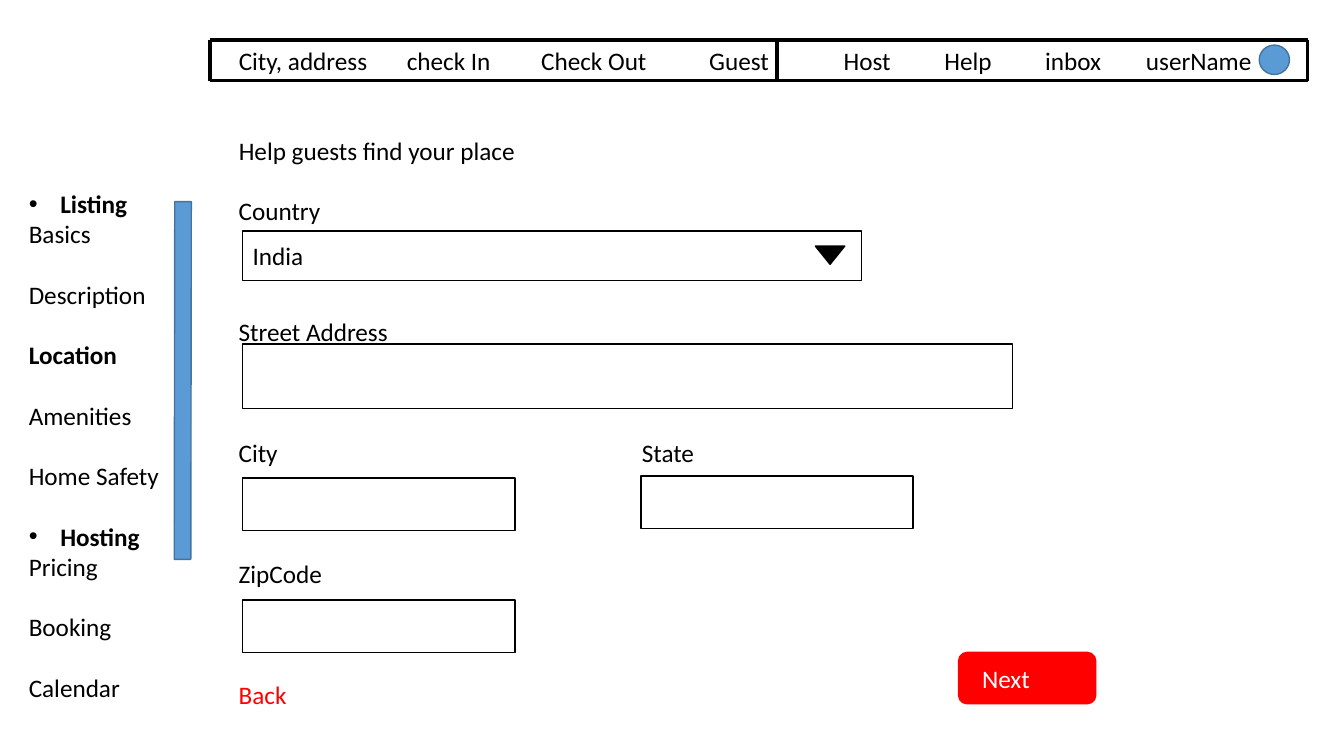
import pptx
import pptx.dml.color
import pptx.enum.shapes
import pptx.enum.text
import pptx.oxml
import pptx.util
import lxml.etree

Pt = pptx.util.Pt
SHAPES = pptx.enum.shapes.MSO_SHAPE
ANCHOR = pptx.enum.text.MSO_ANCHOR
LEFT = pptx.enum.text.PP_ALIGN.LEFT
NS = "http://schemas.openxmlformats.org/drawingml/2006/main"
LINE_H = 21.6


def rgb(color):
    """Turn a hex string into a colour."""
    return pptx.dml.color.RGBColor.from_string(color)


def add_xml(parent, tag, **attrs):
    """Append a DrawingML element to its parent."""
    return lxml.etree.SubElement(parent, f"{{{NS}}}{tag}", **attrs)


def style(p, color="000000", bold=False):
    """Give a paragraph the slide's type style."""
    p.alignment = LEFT
    p.font.name, p.font.size, p.font.bold = "Calibri", Pt(18), bold
    p.font.color.rgb = rgb(color)


def add_text(s, x, y, w, h, text, color="000000"):
    """Add a text box of one paragraph and return its text frame."""
    tf = s.shapes.add_textbox(Pt(x), Pt(y), Pt(w), Pt(h)).text_frame
    tf.word_wrap = True
    tf.text = text
    style(tf.paragraphs[0], color)
    return tf


def add_box(s, kind, x, y, w, h, fill="FFFFFF", line="000000"):
    """Add a flat shape with a thin outline."""
    sp = s.shapes.add_shape(kind, Pt(x), Pt(y), Pt(w), Pt(h))
    sp.shadow.inherit = False
    sp.fill.solid()
    sp.fill.fore_color.rgb = rgb(fill)
    sp.line.color.rgb = rgb(line)
    sp.line.width = Pt(1)
    return sp


def write_in(sp, text, color, inset=7.2):
    """Write left-aligned text in the middle of a shape."""
    tf = sp.text_frame
    tf.vertical_anchor = ANCHOR.MIDDLE
    tf.margin_left = Pt(inset)
    tf.text = text
    style(tf.paragraphs[0], color)


def add_line(s, x1, y1, x2, y2, width):
    """Add a black straight line."""
    c = s.shapes.add_connector(pptx.enum.shapes.MSO_CONNECTOR.STRAIGHT,
                               Pt(x1), Pt(y1), Pt(x2), Pt(y2))
    c.line.color.rgb = rgb("000000")
    c.line.width = Pt(width)
    add_xml(c._element.spPr, "effectLst")


def nav_bar(s, x, y, w, h):
    """Draw the framed menu with its divider and user avatar."""
    items = ["City, address", "check In", "Check Out", "Guest",
             "Host", "Help", "inbox", "userName"]
    tf = add_text(s, x + 13.5, y, w, h, "\t".join(items))
    tabs = add_xml(tf.paragraphs[0]._p.get_or_add_pPr(), "tabLst")
    for stop in (120, 216, 336, 432, 504, 576, 648):
        add_xml(tabs, "tab", pos=str(Pt(stop)), algn="l")
    for left, width in ((x, 2.25), (x + 405.3, 3), (x + w, 2.25)):
        add_line(s, left, y, left, y + h, width)
    for top in (y, y + h):
        add_line(s, x, top, x + w, top, 2.25)
    add_box(s, SHAPES.OVAL, x + 749.5, y + 3.6, 21.6, 21, "5B9BD5", "43739E")


def side_menu(s, x, y, w, h):
    """List the setup steps in two bulleted groups beside a scroll bar."""
    groups = {"Listing": ["Basics", "Description", "Location", "Amenities", "Home Safety"],
              "Hosting": ["Pricing", "Booking", "Calendar"]}
    tf = add_text(s, x, y, w, h, "")
    p = tf.paragraphs[0]
    for heading, steps in groups.items():
        if p.text:
            p = tf.add_paragraph()
            p.space_before = Pt(LINE_H)
        p.text = heading
        style(p, bold=True)
        pPr = p._p.get_or_add_pPr()
        pPr.set("marL", str(Pt(22.5)))
        pPr.set("indent", str(-Pt(22.5)))
        add_xml(pPr, "buFont", typeface="Arial")
        add_xml(pPr, "buChar", char="•")
        for i, step in enumerate(steps):
            p = tf.add_paragraph()
            p.text = step
            style(p, bold=step == "Location")
            p.space_before = Pt(LINE_H if i else 0)
    bar = add_box(s, SHAPES.PARALLELOGRAM, x + 111, y + 13, 12.2, 255.6, "5B9BD5", "43739E")
    bar.adjustments[0] = 0.028


def address_form(s, x, y, w, h):
    """Place the title, the labelled fields and the two buttons."""
    title = s.shapes.title
    title.left, title.top, title.width, title.height = Pt(x), Pt(y), Pt(w), Pt(29)
    tf = title.text_frame
    tf.text = "Help guests find your place"
    tf.vertical_anchor = ANCHOR.TOP
    style(tf.paragraphs[0])

    fields = [("Country", 2, 0, 10, 72, 442, 35.3),
              ("Street Address", 6, 0, 10, 152.6, 550, 46),
              ("City", 10, 0, 10, 248.4, 194.4, 37.5),
              ("State", 10, 288, 294.5, 247, 194.4, 37.5),
              ("ZipCode", 14, 0, 10, 335.5, 194.4, 37.5)]
    for label, row, label_x, box_x, box_y, box_w, box_h in fields:
        add_text(s, x + label_x, y + row * LINE_H, 200, 29, label)
        sp = add_box(s, SHAPES.RECTANGLE, x + box_x, y + box_y, box_w, box_h)
        if label == "Country":
            write_in(sp, "India", "000000")
    arrow = add_box(s, SHAPES.ISOSCELES_TRIANGLE, x + 419, y + 82.8, 21, 13, "000000")
    arrow.rotation = 180

    add_text(s, x, y + 18 * LINE_H, 100, 29, "Back", "FF0000")
    button = add_box(s, SHAPES.ROUNDED_RECTANGLE, x + 521.3, y + h - 36.7, 98, 36.7,
                     "FF0000", "FF0000")
    write_in(button, "Next", "FFFFFF", 15)


def main():
    """Build and save the slide."""
    prs = pptx.Presentation()
    prs.slide_width, prs.slide_height = Pt(960), Pt(540)
    s = prs.slides.add_slide(prs.slide_layouts[5])
    nav_bar(s, 150, 28.6, 784, 29)
    side_menu(s, 13.5, 131, 196, 380)
    address_form(s, 163.4, 93, 700, 409.7)
    prs.save("out.pptx")


if __name__ == "__main__":
    main()
